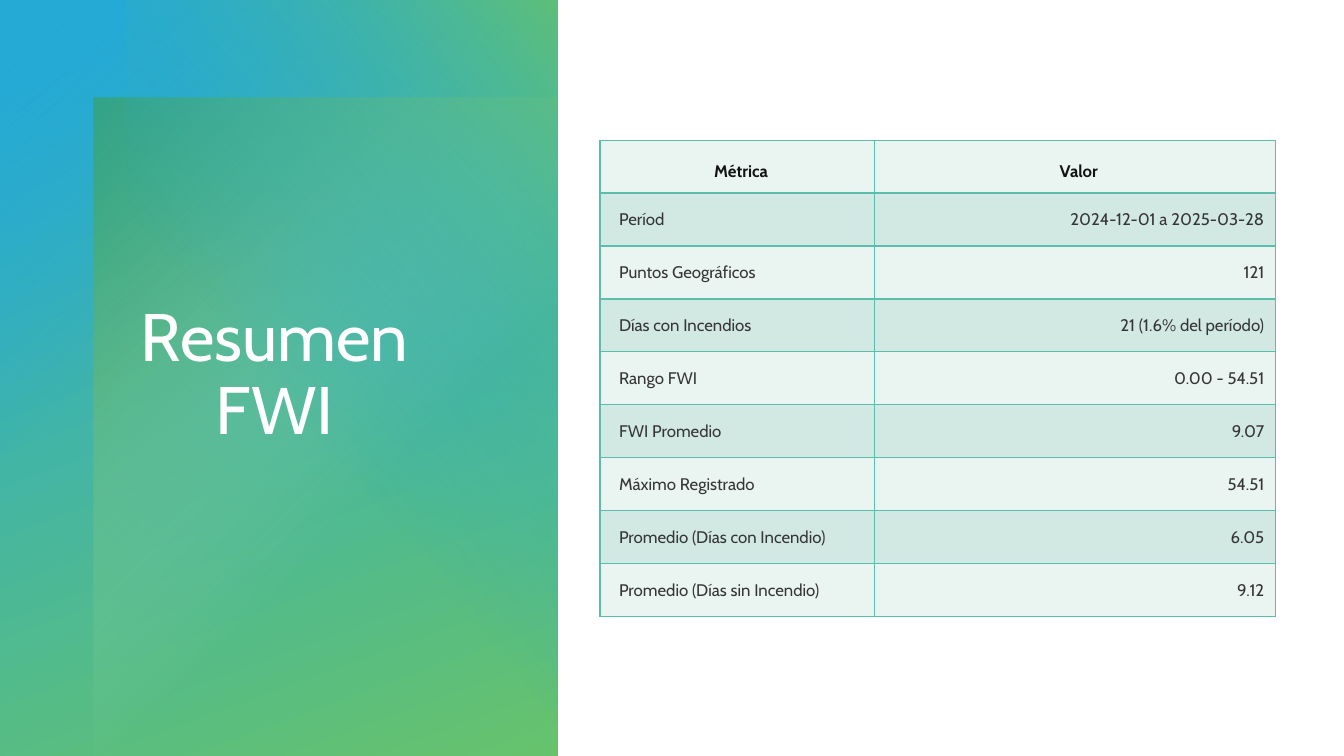
from dataclasses import dataclass

from lxml import etree
from pptx import Presentation
from pptx import util as u
from pptx.dml.color import RGBColor
from pptx.enum import shapes, text
from pptx.oxml.ns import qn

W, H = 13.33, 7.5
FONT = "Cabin"
BORDER = "5BBEAC"
BANDS = ("EAF4F1", "D2E8E3")
ROWS = (
    ("Métrica", "Valor"),
    ("Períod", "2024-12-01 a 2025-03-28"),
    ("Puntos Geográficos", "121"),
    ("Días con Incendios", "21 (1.6% del período)"),
    ("Rango FWI", "0.00 - 54.51"),
    ("FWI Promedio", "9.07"),
    ("Máximo Registrado", "54.51"),
    ("Promedio (Días con Incendio)", "6.05"),
    ("Promedio (Días sin Incendio)", "9.12"),
)
ALIGN = (text.PP_ALIGN.LEFT, text.PP_ALIGN.RIGHT)


@dataclass(frozen=True)
class Stop:
    pos: int
    color: str
    alpha: int = 100


@dataclass(frozen=True)
class Panel:
    box: tuple[float, float, float, float]
    stops: tuple[Stop, ...]
    angle: int | None = None
    rotation: int = 0


PANELS = (
    Panel((0, 0, 5.53, 7.5), (Stop(7, "25AAD5"), Stop(100, "66C26C")), 70),
    Panel((0.93, 0.97, 4.6, 6.53), (Stop(0, "3F9F46"), Stop(60, "A3DAA7", 0)), rotation=180),
    Panel((0, 0, 4.07, 7.5), (Stop(3, "25AAD5", 70), Stop(42, "25AAD5", 0)), 50),
    Panel((-0.36, 1.61, 7.5, 4.28), (Stop(0, "66C26C", 86), Stop(57, "25AAD5", 0)), 230, 270),
)


def rgb(color: str) -> RGBColor:
    return RGBColor.from_string(color)


def place(x: float, y: float, w: float, h: float) -> tuple[u.Emu, ...]:
    return tuple(u.Inches(v) for v in (x, y, w, h))


def child(parent, tag: str, **attrs):
    return etree.SubElement(parent, qn(tag), {k: str(v) for k, v in attrs.items()})


def write(tf, content: str, *, size: float, color: str, bold: bool = False,
          align=text.PP_ALIGN.LEFT):
    p = tf.paragraphs[0]
    p.alignment = align
    r = p.add_run()
    r.text = content
    r.font.name, r.font.size, r.font.bold = FONT, u.Pt(size), bold
    r.font.color.rgb = rgb(color)
    return p


def add_panel(s, panel: Panel) -> None:
    sp = s.shapes.add_shape(shapes.MSO_SHAPE.RECTANGLE, *place(*panel.box))
    sp.shadow.inherit = False
    sp.line.fill.background()
    sp.rotation = panel.rotation
    sp.fill.gradient()
    grad = sp._element.spPr.find(qn("a:gradFill"))
    for old in list(grad):
        grad.remove(old)
    grad.set("rotWithShape", "1")
    stops = child(grad, "a:gsLst")
    for stop in panel.stops:
        gs = child(stops, "a:gs", pos=stop.pos * 1000)
        clr = child(gs, "a:srgbClr", val=stop.color)
        if stop.alpha < 100:
            child(clr, "a:alpha", val=stop.alpha * 1000)
    if panel.angle is None:
        focus = child(grad, "a:path", path="circle")
        child(focus, "a:fillToRect", r=100000, b=100000)
    else:
        child(grad, "a:lin", ang=panel.angle * 60000, scaled=0)


def add_title(s) -> None:
    tf = s.shapes.add_textbox(*place(0.72, 2.3, 4.01, 2.87)).text_frame
    tf.word_wrap = True
    tf.vertical_anchor = text.MSO_ANCHOR.MIDDLE
    p = write(tf, "Resumen FWI", size=48, color="FFFFFF", align=text.PP_ALIGN.CENTER)
    p.line_spacing = 0.9
    p.space_after = u.Pt(6)


def set_borders(cell) -> None:
    tc_pr = cell._tc.get_or_add_tcPr()
    for i, side in enumerate(("a:lnL", "a:lnR", "a:lnT", "a:lnB")):
        ln = etree.Element(qn(side), w=str(u.Pt(1)))
        child(child(ln, "a:solidFill"), "a:srgbClr", val=BORDER)
        tc_pr.insert(i, ln)


def add_summary(s) -> None:
    box = place(5.95, 1.39, 6.7, 4.73)
    table = s.shapes.add_table(len(ROWS), 2, *box).table
    for col, width in zip(table.columns, (2.72, 3.98)):
        col.width = u.Inches(width)
    for i, row in enumerate(ROWS):
        header = i == 0
        for j, content in enumerate(row):
            cell = table.cell(i, j)
            cell.fill.solid()
            cell.fill.fore_color.rgb = rgb(BANDS[i % 2])
            cell.margin_left = u.Inches(0.19)
            cell.margin_top = cell.margin_right = cell.margin_bottom = u.Inches(0.11)
            cell.vertical_anchor = text.MSO_ANCHOR.BOTTOM if header else text.MSO_ANCHOR.MIDDLE
            write(cell.text_frame, content, size=12, bold=header,
                  color="131313" if header else "363636",
                  align=text.PP_ALIGN.CENTER if header else ALIGN[j])
            set_borders(cell)


def main() -> None:
    prs = Presentation()
    prs.slide_width, prs.slide_height = u.Inches(W), u.Inches(H)
    s = prs.slides.add_slide(prs.slide_layouts[6])
    for panel in PANELS:
        add_panel(s, panel)
    add_title(s)
    add_summary(s)
    prs.save("out.pptx")


if __name__ == "__main__":
    main()
